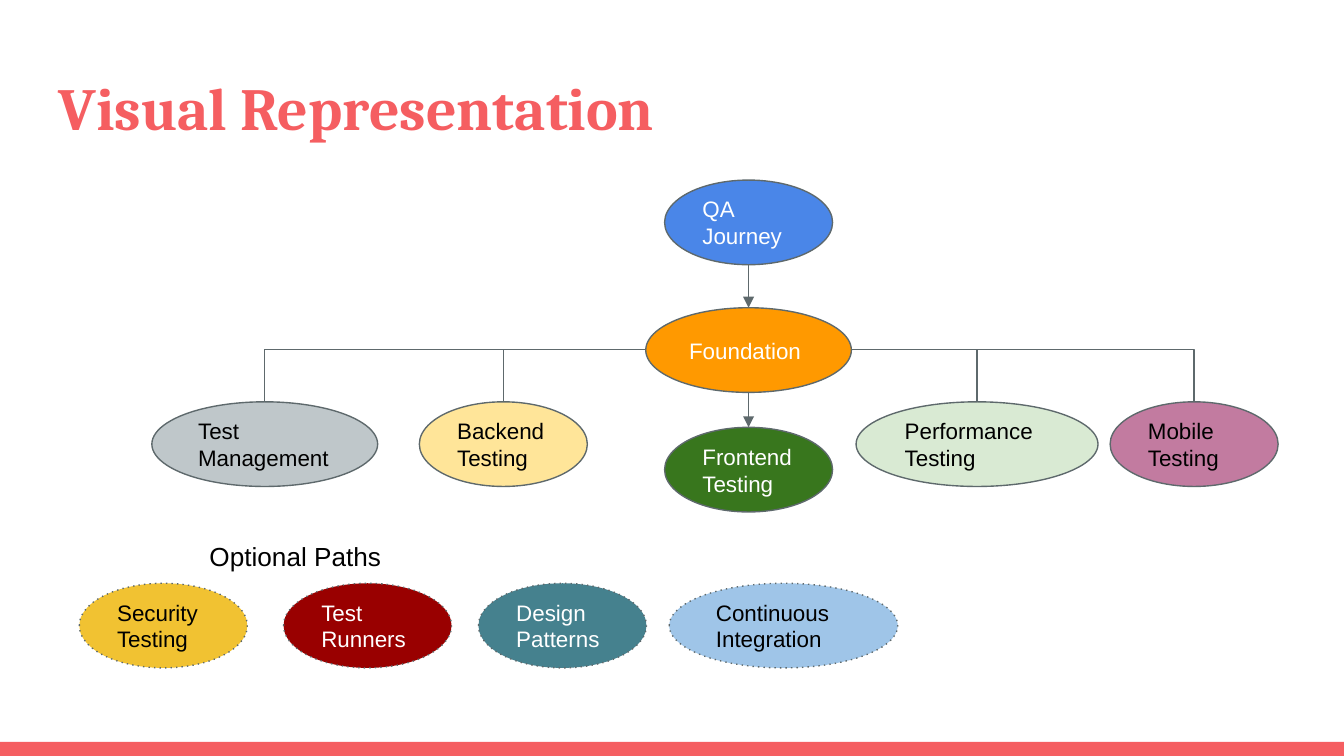
from lxml import etree
from pptx import Presentation
from pptx.dml.color import RGBColor
from pptx.enum import dml, shapes, text
from pptx.oxml.ns import qn
from pptx.util import Inches, Pt

CORAL = RGBColor(0xF5, 0x5E, 0x61)
SLATE = RGBColor(0x5E, 0x69, 0x6C)
WHITE = RGBColor(0xFF, 0xFF, 0xFF)
BLACK = RGBColor(0x00, 0x00, 0x00)
BLUE = RGBColor(0x4A, 0x86, 0xE8)
ORANGE = RGBColor(0xFF, 0x99, 0x00)
MAUVE = RGBColor(0xC2, 0x7B, 0xA0)
PALE_GREEN = RGBColor(0xD9, 0xEA, 0xD3)
GREEN = RGBColor(0x38, 0x76, 0x1D)
CREAM = RGBColor(0xFF, 0xE5, 0x99)
GREY = RGBColor(0xBF, 0xC7, 0xCA)
TEAL = RGBColor(0x45, 0x81, 0x8E)
DARK_RED = RGBColor(0x99, 0x00, 0x00)
YELLOW = RGBColor(0xF1, 0xC2, 0x32)
LIGHT_BLUE = RGBColor(0x9F, 0xC5, 0xE8)

SLIDE_WIDTH = 10
SLIDE_HEIGHT = SLIDE_WIDTH * 9 / 16
NODE_WIDTH, NODE_HEIGHT = 1.25, 0.63
CENTRE = 5.57
JOURNEY_TOP, FOUNDATION_TOP, FRONTEND_TOP = 1.34, 2.29, 3.18
FOUNDATION_WIDTH = 1.53
TRUNK_Y = 2.6
BRANCH_TOP, OPTIONAL_TOP = 2.99, 4.34

# label, left, width, fill; each side runs outwards from Foundation
LEFT_BRANCHES = [
    ("Backend Testing", 3.12, NODE_WIDTH, CREAM),
    ("Test Management", 1.13, 1.68, GREY),
]
RIGHT_BRANCHES = [
    ("Performance Testing", 6.37, 1.8, PALE_GREEN),
    ("Mobile Testing", 8.26, NODE_WIDTH, MAUVE),
]
# label, left, width, fill, text colour
OPTIONAL_PATHS = [
    ("Security Testing", 0.59, NODE_WIDTH, YELLOW, BLACK),
    ("Test Runners", 2.11, NODE_WIDTH, DARK_RED, WHITE),
    ("Design Patterns", 3.56, NODE_WIDTH, TEAL, WHITE),
    ("Continuous Integration", 4.98, 1.7, LIGHT_BLUE, BLACK),
]


def write_text(shape, content, size=12, font="Arial", color=BLACK, bold=False,
               anchor=text.MSO_ANCHOR.TOP):
    frame = shape.text_frame
    frame.word_wrap = True
    frame.vertical_anchor = anchor
    frame.margin_left = frame.margin_right = Inches(0.1)
    frame.margin_top = frame.margin_bottom = Inches(0.1)
    paragraph = frame.paragraphs[0]
    paragraph.alignment = text.PP_ALIGN.LEFT
    run = paragraph.add_run()
    run.text = content
    run.font.size = Pt(size)
    run.font.name = font
    run.font.bold = bold
    run.font.color.rgb = color


def add_label(slide, content, left, top, width, height, **text_format):
    box = slide.shapes.add_textbox(
        Inches(left), Inches(top), Inches(width), Inches(height))
    write_text(box, content, **text_format)


def add_filled_shape(slide, kind, left, top, width, height, fill):
    shape = slide.shapes.add_shape(
        kind, Inches(left), Inches(top), Inches(width), Inches(height))
    shape.shadow.inherit = False
    shape.fill.solid()
    shape.fill.fore_color.rgb = fill
    shape.line.fill.background()
    return shape


def add_node(slide, label, left, top, width, fill, color=BLACK, dotted=False):
    node = add_filled_shape(slide, shapes.MSO_SHAPE.OVAL,
                            left, top, width, NODE_HEIGHT, fill)
    node.line.color.rgb = SLATE
    node.line.width = Pt(0.75)
    if dotted:
        node.line.dash_style = dml.MSO_LINE.ROUND_DOT
        # The plain "dot" preset has wider gaps than the enum's system dot.
        node.line._get_or_add_ln().find(qn("a:prstDash")).set("val", "dot")
    write_text(node, label, color=color, anchor=text.MSO_ANCHOR.MIDDLE)


def add_connector(slide, kind, start, end):
    connector = slide.shapes.add_connector(
        kind, *(Inches(value) for value in (*start, *end)))
    connector.line.color.rgb = SLATE
    connector.line.width = Pt(0.75)
    etree.SubElement(connector._element.spPr, qn("a:effectLst"))
    return connector


def add_arrow(slide, top, bottom):
    arrow = add_connector(slide, shapes.MSO_CONNECTOR.STRAIGHT,
                          (CENTRE, top), (CENTRE, bottom))
    line = arrow.line._get_or_add_ln()
    etree.SubElement(line, qn("a:tailEnd"), type="triangle")


def add_elbow(slide, start, end):
    """Run sideways from start, then turn once down to end."""
    elbow = add_connector(slide, shapes.MSO_CONNECTOR.ELBOW, start, end)
    geometry = elbow._element.spPr.find(qn("a:prstGeom"))
    geometry.set("prst", "bentConnector2")


def add_branches(slide, branches, start_x):
    """Draw one side of the tree, each elbow starting above the last node."""
    for label, left, width, fill in branches:
        add_node(slide, label, left, BRANCH_TOP, width, fill)
        middle = left + width / 2
        add_elbow(slide, (start_x, TRUNK_Y), (middle, BRANCH_TOP))
        start_x = middle


def add_trunk(slide):
    for label, top, width, fill in [
        ("QA Journey", JOURNEY_TOP, NODE_WIDTH, BLUE),
        ("Foundation", FOUNDATION_TOP, FOUNDATION_WIDTH, ORANGE),
        ("Frontend Testing", FRONTEND_TOP, NODE_WIDTH, GREEN),
    ]:
        add_node(slide, label, CENTRE - width / 2, top, width, fill, WHITE)
    add_arrow(slide, JOURNEY_TOP + NODE_HEIGHT, FOUNDATION_TOP)
    add_arrow(slide, FOUNDATION_TOP + NODE_HEIGHT, FRONTEND_TOP)


def main():
    presentation = Presentation()
    presentation.slide_width = Inches(SLIDE_WIDTH)
    presentation.slide_height = Inches(SLIDE_HEIGHT)
    slide = presentation.slides.add_slide(presentation.slide_layouts[6])

    add_filled_shape(slide, shapes.MSO_SHAPE.RECTANGLE,
                     0, 5.52, SLIDE_WIDTH, SLIDE_HEIGHT - 5.52, CORAL)
    add_label(slide, "Visual Representation", 0.34, 0.43, 9.32, 0.68,
              size=32, font="Cambria", color=CORAL, bold=True)

    add_trunk(slide)
    add_branches(slide, LEFT_BRANCHES, CENTRE - FOUNDATION_WIDTH / 2)
    add_branches(slide, RIGHT_BRANCHES, CENTRE + FOUNDATION_WIDTH / 2)

    add_label(slide, "Optional Paths", 1.46, 3.92, 2.19, 0.27, size=14)
    for label, left, width, fill, color in OPTIONAL_PATHS:
        add_node(slide, label, left, OPTIONAL_TOP, width, fill, color, dotted=True)

    presentation.save("out.pptx")


if __name__ == "__main__":
    main()
